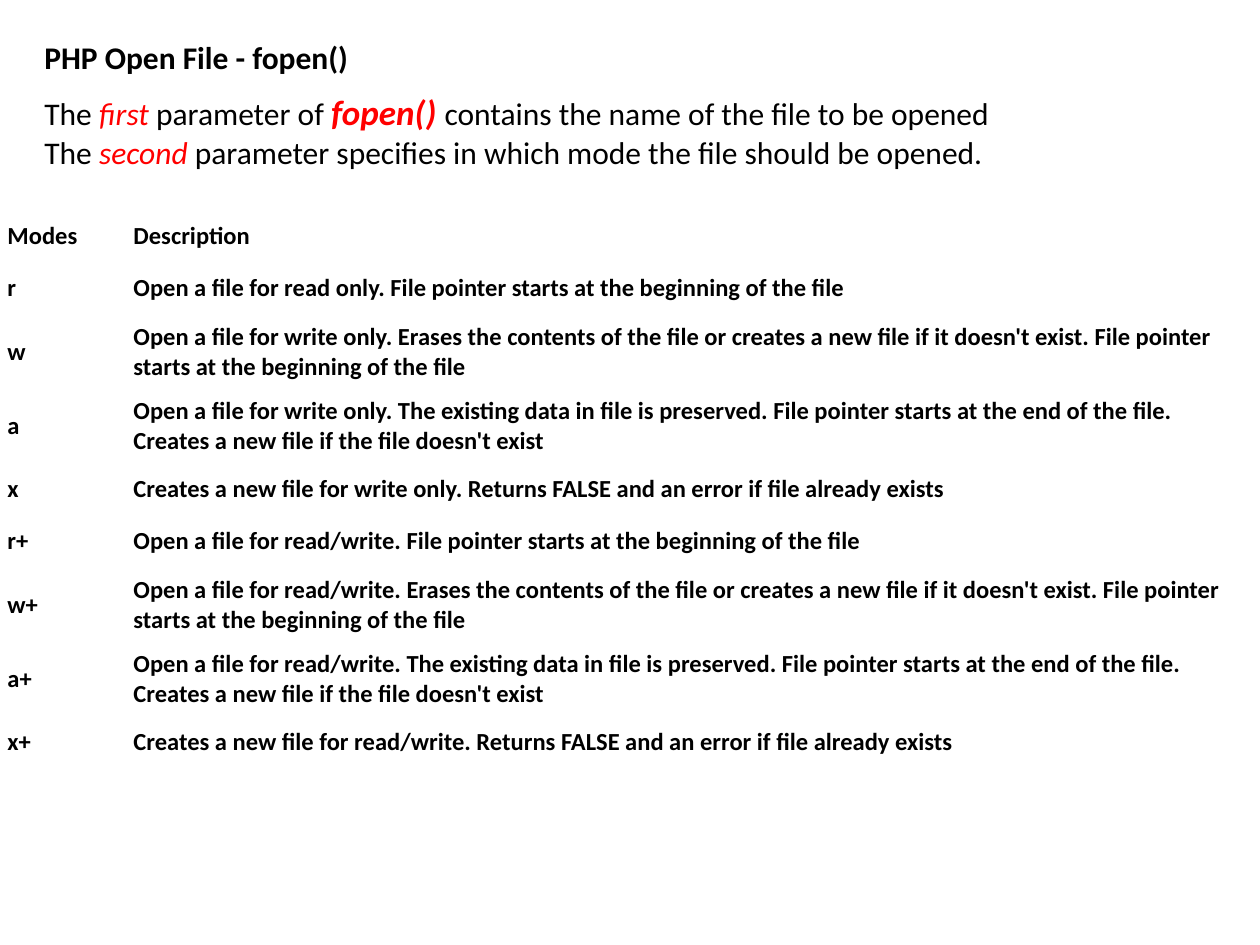
from pptx import Presentation
from pptx.dml.color import RGBColor
from pptx.enum.text import MSO_ANCHOR, MSO_AUTO_SIZE, PP_ALIGN
from pptx.oxml.xmlchemy import OxmlElement
from pptx.util import Cm, Pt

HUES = {"ink": "000000", "mark": "FF0000"}

# Text formats
HEAD = {"size": Pt(18), "bold": True}
PLAIN = {"size": Pt(18), "bold": False}
MARK = {"size": Pt(18), "italic": True, "hue": "mark"}
CALL = {"size": Pt(20), "bold": True, "italic": True, "hue": "mark"}
CELL = {"size": Pt(14), "bold": True}

TITLE = "PHP Open File - fopen()"
INTRO = [
    [("The ", PLAIN), ("first", MARK), (" parameter of ", PLAIN), ("fopen() ", CALL),
     ("contains the name of the file to be opened", PLAIN)],
    [("The ", PLAIN), ("second", MARK),
     (" parameter specifies in which mode the file should be opened.", PLAIN)],
]

START = "File pointer starts at the beginning of the file"
ERASE = ("Erases the contents of the file or creates a new file "
         "if it doesn't exist. " + START)
KEEP = ("The existing data in file is preserved. File pointer starts at the end "
        "of the file. Creates a new file if the file doesn't exist")
FAIL = "Returns FALSE and an error if file already exists"

# Row heights in cm: one or two lines of text
ONE, TWO = 1.05, 1.5


def modes(sign, first, rest):
    """Give the four modes of one kind of access."""
    return [
        ("r" + sign, f"Open a file for {first}. {START}", ONE),
        ("w" + sign, f"Open a file for {rest}. {ERASE}", TWO),
        ("a" + sign, f"Open a file for {rest}. {KEEP}", TWO),
        ("x" + sign, f"Creates a new file for {rest}. {FAIL}", ONE),
    ]


ROWS = [("Modes", "Description", ONE),
        *modes("", "read only", "write only"),
        *modes("+", "read/write", "read/write")]


class Page:
    def __init__(self, deck, face="Calibri"):
        self.slide = deck.slides.add_slide(deck.slide_layouts[1])
        self.face = face

    def run(self, para, text, form):
        run = para.add_run()
        run.text = text
        look = {"name": self.face, "hue": "ink", **form}
        run.font.color.rgb = RGBColor.from_string(HUES[look.pop("hue")])
        for key, value in look.items():
            setattr(run.font, key, value)

    def text(self, shape, box, lines, anchor):
        for key, value in zip(("left", "top", "width", "height"), box):
            setattr(shape, key, Cm(value))
        frame = shape.text_frame
        look = {"word_wrap": True, "auto_size": MSO_AUTO_SIZE.NONE,
                "vertical_anchor": anchor}
        for key, value in look.items():
            setattr(frame, key, value)
        for i, line in enumerate(lines):
            para = frame.add_paragraph() if i else frame.paragraphs[0]
            para.alignment = PP_ALIGN.LEFT
            para.space_before = Pt(0)
            # No bullet and no hanging indent
            props = para._p.get_or_add_pPr()
            props.set("marL", "0")
            props.set("indent", "0")
            props.append(OxmlElement("a:buNone"))
            for text, form in line:
                self.run(para, text, form)

    def title(self, box, text):
        self.text(self.slide.shapes.title, box, [[(text, HEAD)]], MSO_ANCHOR.MIDDLE)

    def body(self, box, lines):
        self.text(self.slide.placeholders[1], box, lines, MSO_ANCHOR.TOP)

    def table(self, left, top, widths, rows):
        high = sum(row[-1] for row in rows)
        grid = self.slide.shapes.add_table(
            len(rows), len(widths), Cm(left), Cm(top), Cm(sum(widths)), Cm(high)).table
        grid.first_row = grid.horz_banding = False
        for col, width in zip(grid.columns, widths):
            col.width = Cm(width)
        look = {"vertical_anchor": MSO_ANCHOR.MIDDLE,
                "margin_left": Cm(0.15), "margin_right": Cm(0.15),
                "margin_top": Cm(0.08), "margin_bottom": Cm(0.08)}
        for line, (*texts, tall) in zip(grid.rows, rows):
            line.height = Cm(tall)
            for cell, text in zip(line.cells, texts):
                cell.fill.background()
                for key, value in look.items():
                    setattr(cell, key, value)
                self.run(cell.text_frame.paragraphs[0], text, CELL)


deck = Presentation()
deck.slide_width, deck.slide_height = Cm(25.4), Cm(19.05)
page = Page(deck)

# Heading and introduction
page.title((0.64, 0.64, 6.7, 1.02), TITLE)
page.body((0.64, 1.7, 24.76, 1.88), INTRO)

# Table of file modes
page.table(0, 4.24, (2.54, 22.86), ROWS)

deck.save("out.pptx")
